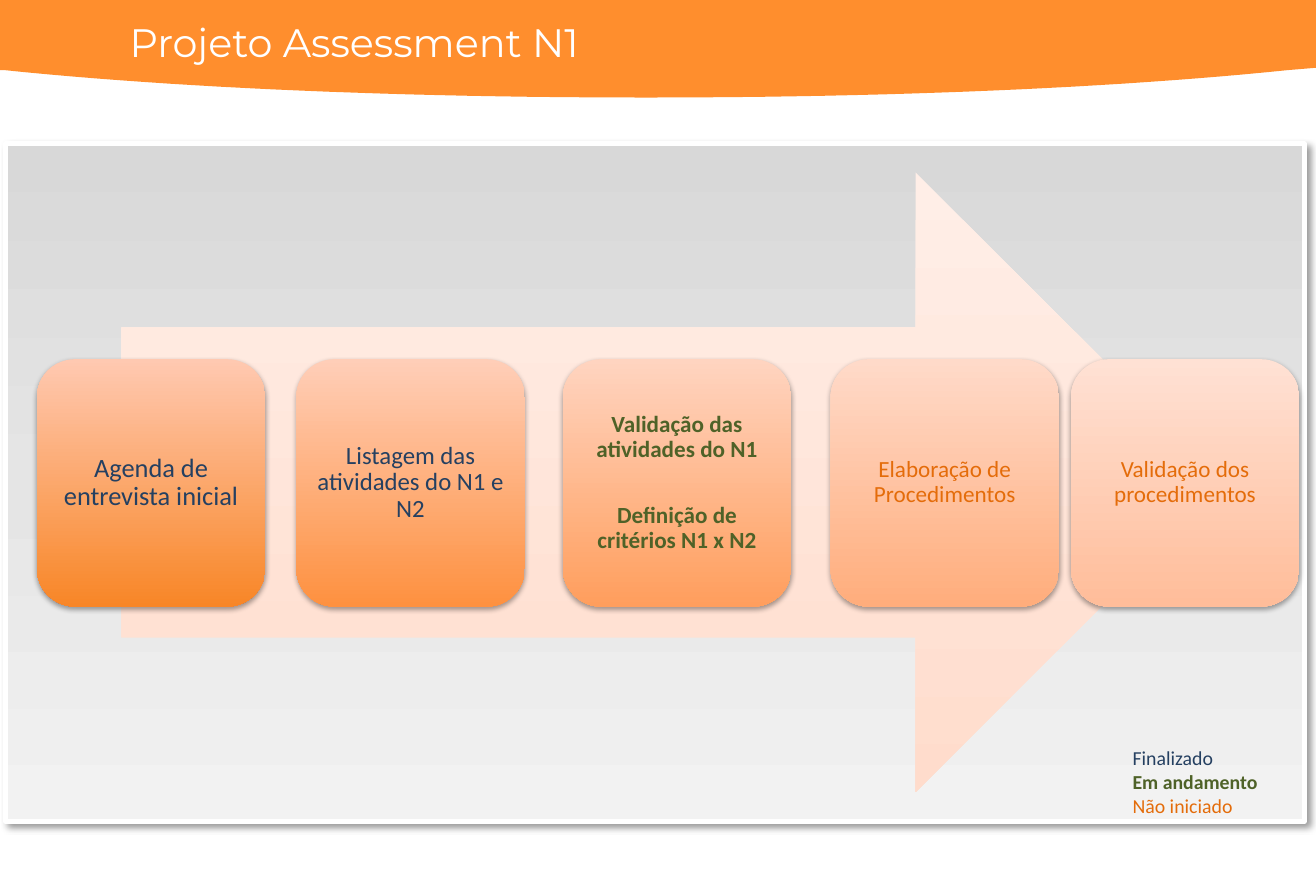
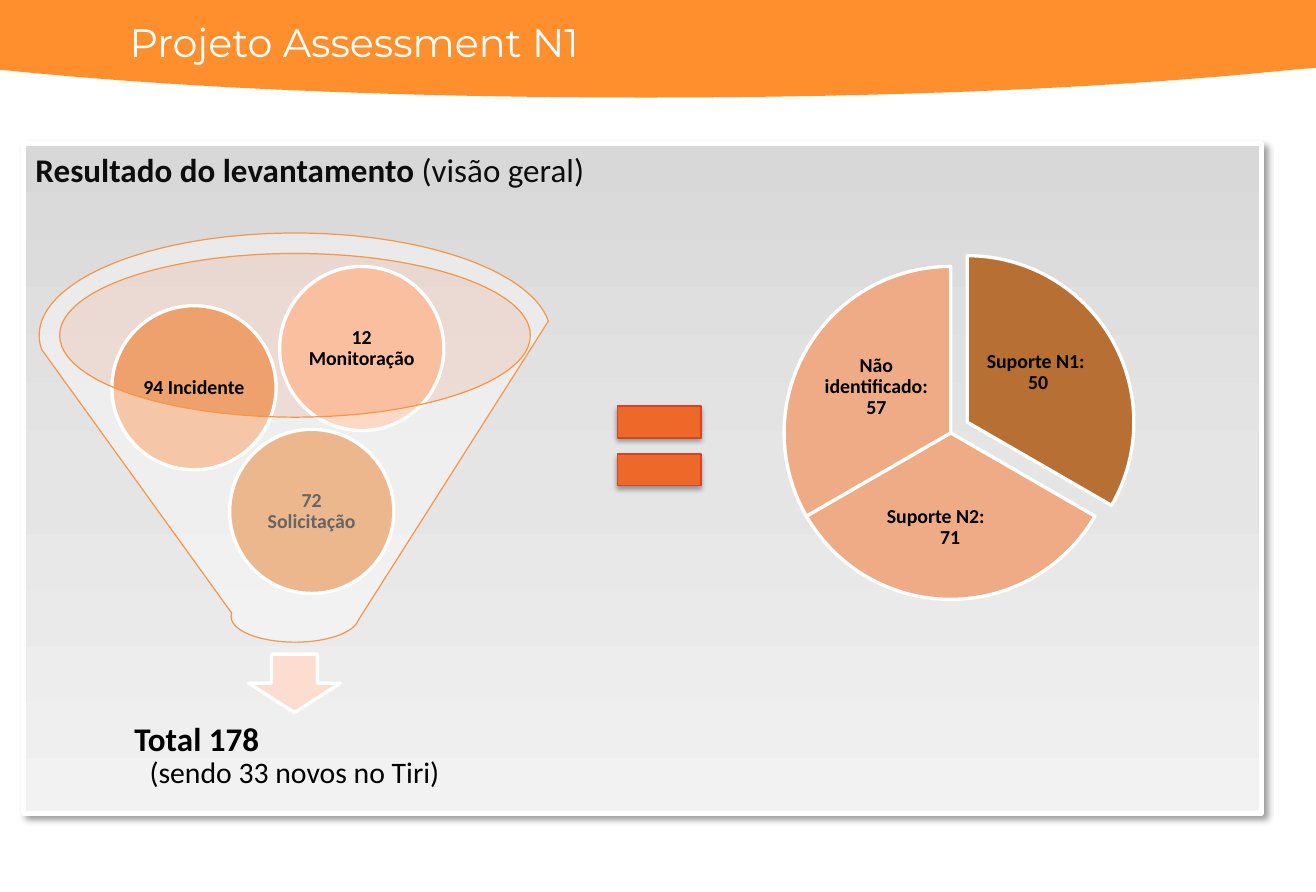
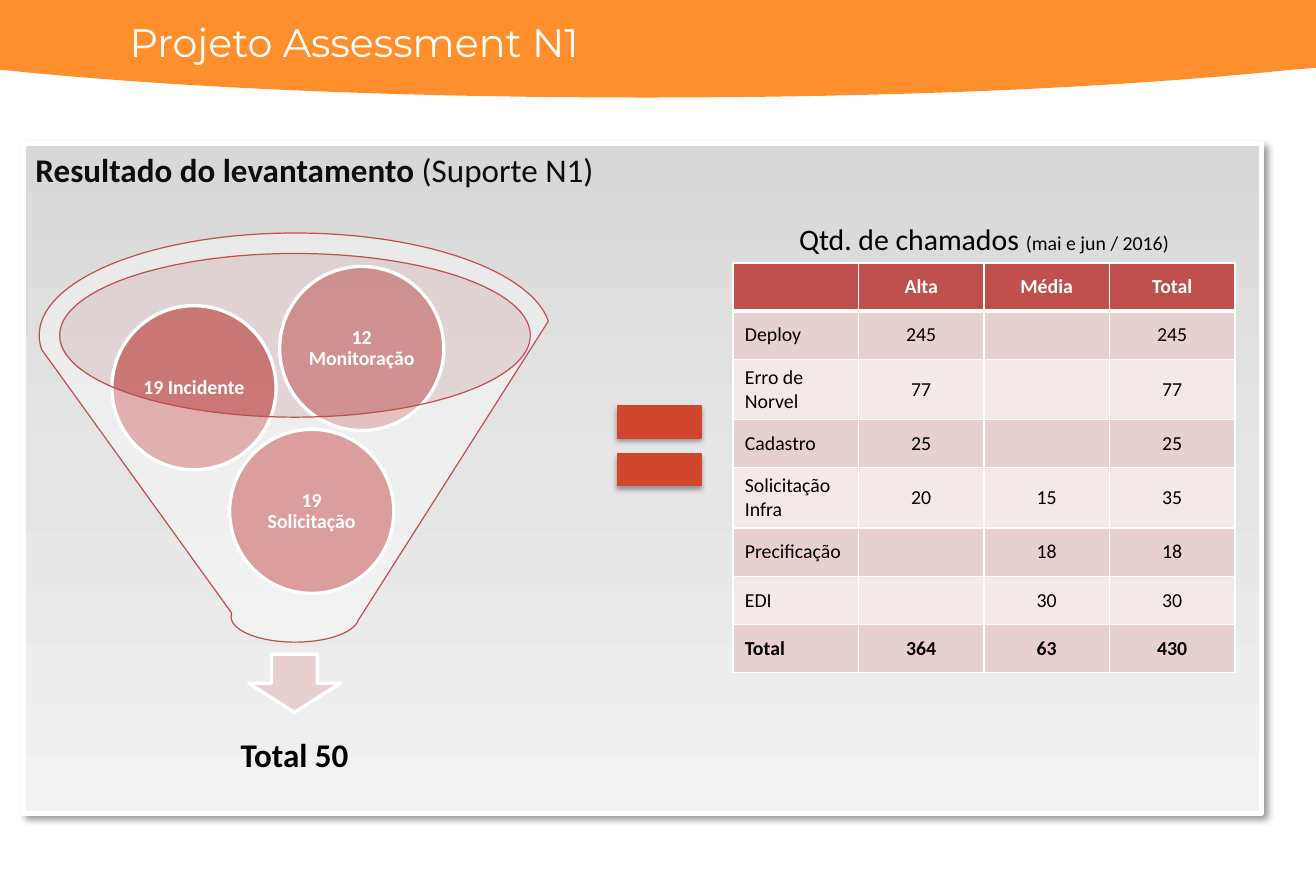
from dataclasses import dataclass

from lxml import etree
from pptx import Presentation
from pptx.dml.color import RGBColor
from pptx.enum.shapes import MSO_SHAPE as SHAPE
from pptx.enum.text import MSO_ANCHOR as ANCHOR, MSO_AUTO_SIZE as AUTOSIZE, PP_ALIGN as ALIGN
from pptx.oxml.ns import qn
from pptx.util import Inches, Pt


@dataclass(frozen=True)
class Theme:
    body_font: str = "Calibri"
    title_font: str = "Montserrat"
    band: str = "FF8E2D"
    white: str = "FFFFFF"
    black: str = "000000"
    heading: str = "0D0D0D"
    panel: tuple = ("D8D8D8", "E5E5E5", "F2F2F2")
    arrow: tuple = ("FFEEE7", "FFDCCC")
    done: str = "254061"
    ongoing: str = "4F6228"
    pending: str = "E46C0A"
    orange: str = "F79646"
    equal_orange: str = "EE6829"
    equal_red: str = "D0462D"
    red: str = "C0504D"
    row_dark: str = "E8D0D0"
    row_light: str = "F4E9E9"
    slice_main: str = "B76F34"
    slice_other: str = "EFAB85"
    title_size: int = 24
    heading_size: int = 20
    caption_size: int = 18
    small_size: int = 12


T = Theme()
PANEL_SHADOW = (40, 4, 3, 45)
SOFT_SHADOW = (35, 3.1, 1.8, 90)


def rgb(color):
    return RGBColor.from_string(color)


def add_child(parent, tag, **attrs):
    child = etree.SubElement(parent, qn(tag))
    for name, value in attrs.items():
        child.set(name, str(value))
    return child


def set_gradient(shape, colors):
    """Fill with evenly spaced colours; the first is at the top."""
    shape.fill.gradient()
    shape.fill.gradient_angle = 270
    stops = shape._element.spPr.find(qn("a:gradFill")).find(qn("a:gsLst"))
    for stop in list(stops):
        stops.remove(stop)
    for i, color in enumerate(colors):
        stop = add_child(stops, "a:gs", pos=100000 * i // (len(colors) - 1))
        add_child(stop, "a:srgbClr", val=color)


def set_fill(shape, color, opacity=100):
    """Fill with one colour, or with a gradient when given a tuple."""
    if isinstance(color, tuple):
        set_gradient(shape, color)
        return
    shape.fill.solid()
    shape.fill.fore_color.rgb = rgb(color)
    if opacity < 100:
        clr = shape._element.spPr.find(qn("a:solidFill")).find(qn("a:srgbClr"))
        add_child(clr, "a:alpha", val=opacity * 1000)


def set_shadow(shape, opacity, blur, distance, angle):
    effects = shape._element.spPr.find(qn("a:effectLst"))
    shadow = add_child(effects, "a:outerShdw", blurRad=Pt(blur), dist=Pt(distance),
                       dir=angle * 60000, algn="ctr", rotWithShape=0)
    clr = add_child(shadow, "a:srgbClr", val=T.black)
    add_child(clr, "a:alpha", val=opacity * 1000)


def add_shape(s, kind, box, fill, opacity=100, line=None, width=2, shadow=None):
    sp = s.shapes.add_shape(kind, *map(Inches, box))
    sp.shadow.inherit = False
    set_fill(sp, fill, opacity)
    if line:
        sp.line.color.rgb = rgb(line)
        sp.line.width = Pt(width)
    else:
        sp.line.fill.background()
    if shadow:
        set_shadow(sp, *shadow)
    return sp


def set_frame(tf, insets=(0.1, 0.05), anchor=ANCHOR.TOP):
    tf.word_wrap = True
    tf.auto_size = AUTOSIZE.NONE
    tf.vertical_anchor = anchor
    tf.margin_left = tf.margin_right = Inches(insets[0])
    tf.margin_top = tf.margin_bottom = Inches(insets[1])


def add_run(p, text, size, color, bold=False, font=T.body_font):
    r = p.add_run()
    r.text = text
    r.font.name = font
    r.font.size = Pt(size)
    r.font.bold = bold
    r.font.color.rgb = rgb(color)


def add_par(tf, first, align=ALIGN.LEFT, spacing=1.0, before=0, left=0, right=0):
    p = tf.paragraphs[0] if first else tf.add_paragraph()
    p.alignment = align
    p.line_spacing = spacing
    if before:
        p.space_before = Pt(before)
    for name, value in (("marL", left), ("marR", right)):
        p._p.get_or_add_pPr().set(name, str(Inches(value)))
    return p


def add_text_box(s, box, insets=(0.1, 0.05), anchor=ANCHOR.TOP):
    tf = s.shapes.add_textbox(*map(Inches, box)).text_frame
    set_frame(tf, insets, anchor)
    return tf


def write_label(tf, lines, size, color, bold=False, gap=0):
    """Centred, tightly set lines, each a paragraph."""
    for i, line in enumerate(lines):
        p = add_par(tf, i == 0, ALIGN.CENTER, 0.9, before=gap if i else 0)
        add_run(p, line, size, color, bold)


def bezier(p0, p1, p2, p3, steps=24):
    for i in range(1, steps + 1):
        t = i / steps
        u = 1 - t
        yield tuple(u**3 * a + 3 * u * u * t * b + 3 * u * t * t * c + t**3 * d
                    for a, b, c, d in zip(p0, p1, p2, p3))


def add_band_to_layout(s):
    """Draw the curved top band and move it to the layout that all slides use."""
    right, low, left = (10.82, 0.59), (5.43, 0.82), (0.04, 0.59)
    outline = [(11.06, 0), (11.06, 0.57), right,
               *bezier(right, (9.36, 0.74), (7.48, 0.82), low),
               *bezier(low, (3.38, 0.82), (1.5, 0.74), left), (0, 0.59)]
    builder = s.shapes.build_freeform(0, 0)
    builder.add_line_segments([(Inches(x), Inches(y)) for x, y in outline])
    band = builder.convert_to_shape()
    band.shadow.inherit = False
    set_fill(band, T.band)
    band.line.fill.background()
    s.slide_layout.shapes._spTree.insert(2, band._element)


def set_title(s, text):
    title = s.shapes.title
    title.left, title.top, title.width, title.height = map(Inches, (0.99, 0.1, 5.97, 0.5))
    set_frame(title.text_frame)
    p = add_par(title.text_frame, True)
    add_run(p, text, T.title_size, T.white, font=T.title_font)


def add_panel(s, box=(0.2, 1.21, 10.4, 5.63), scope=None):
    sp = add_shape(s, SHAPE.RECTANGLE, box, T.panel, line=T.white, width=3,
                   shadow=PANEL_SHADOW)
    if scope:
        set_frame(sp.text_frame)
        p = add_par(sp.text_frame, True)
        add_run(p, "Resultado do levantamento ", T.heading_size, T.heading, True)
        add_run(p, scope, T.heading_size, T.heading)


def add_step(s, left, lines, size, color, gradient):
    sp = add_shape(s, SHAPE.ROUNDED_RECTANGLE, (left, 3.02, 1.92, 2.08), gradient,
                   shadow=SOFT_SHADOW)
    set_frame(sp.text_frame, (0.07, 0.07), ANCHOR.MIDDLE)
    write_label(sp.text_frame, lines, size, color, color == T.ongoing, gap=25)


def add_funnel(s, balls, rim, arrow, line, text_color):
    """Funnel with three balls, given as (label, colour, opacity) from the back."""
    add_shape(s, SHAPE.OVAL, (0.49, 2.13, 3.96, 1.38), rim, 40)
    add_shape(s, SHAPE.DOWN_ARROW, (2.09, 5.5, 0.77, 0.49), arrow, line=T.white)
    places = ((1.93, 3.61), (0.94, 2.57), (2.35, 2.24))
    for (left, top), (label, color, opacity) in zip(places, balls):
        sp = add_shape(s, SHAPE.OVAL, (left, top, 1.38, 1.38), color, opacity, T.white)
        set_frame(sp.text_frame, (0.02, 0.02), ANCHOR.MIDDLE)
        write_label(sp.text_frame, [label], T.small_size, text_color, True)
    add_shape(s, SHAPE.FUNNEL, (0.33, 1.96, 4.3, 3.44), T.white, 40, line, 0.75)


def add_total(s, text, note=None):
    tf = add_text_box(s, (0.63, 5.9, 3.69, 0.92), (0.16, 0.16), ANCHOR.MIDDLE)
    if note:
        p = add_par(tf, True, spacing=0.9, left=0.34)
    else:
        p = add_par(tf, True, ALIGN.CENTER, 0.9)
    add_run(p, text, T.heading_size, T.black, True)
    if note:
        p = add_par(tf, False, ALIGN.CENTER, 0.9)
        add_run(p, note, T.caption_size, T.black)


def add_equal_sign(s, color):
    add_shape(s, SHAPE.MATH_EQUAL, (5.06, 3.18, 0.96, 1.14), color,
              line=T.equal_red, width=0.75, shadow=SOFT_SHADOW)


def add_slice(s, corner, angles, color, label_box, lines, shift=0):
    """Pie slice between two angles in degrees; shift moves its first line left."""
    sp = add_shape(s, SHAPE.PIE, (*corner, 2.8, 2.8), color, line=T.white)
    for i, angle in enumerate(angles):
        sp.adjustments[i] = angle * 0.6
    tf = add_text_box(s, label_box, (0.02, 0.02), ANCHOR.MIDDLE)
    for i, line in enumerate(lines):
        p = add_par(tf, i == 0, ALIGN.CENTER, 0.9, right=0 if i else 2 * shift)
        add_run(p, line, T.small_size, T.black, True)


def set_cell_borders(cell, top, bottom):
    tc_pr = cell._tc.get_or_add_tcPr()
    for tag, width in (("a:lnL", 1), ("a:lnR", 1), ("a:lnT", top), ("a:lnB", bottom)):
        fill = add_child(add_child(tc_pr, tag, w=Pt(width)), "a:solidFill")
        add_child(fill, "a:srgbClr", val=T.white)


def add_ticket_table(s, rows, box):
    shape = s.shapes.add_table(len(rows), len(rows[0]), *map(Inches, box))
    table = shape.table
    table.first_row = table.horz_banding = False
    last = len(rows) - 1
    for i, row in enumerate(rows):
        for j, text in enumerate(row):
            cell = table.cell(i, j)
            set_cell_borders(cell, 3 if i == 1 else 1, 3 if i == 0 else 1)
            cell.fill.solid()
            color = T.red if i == 0 else (T.row_light, T.row_dark)[i % 2]
            cell.fill.fore_color.rgb = rgb(color)
            cell.vertical_anchor = ANCHOR.MIDDLE
            if text:
                p = add_par(cell.text_frame, True, ALIGN.CENTER if j else ALIGN.LEFT)
                add_run(p, text, T.small_size, T.black if i else T.white, i in (0, last))


def build_process(s):
    add_panel(s, (0.05, 1.21, 10.91, 5.7))
    add_shape(s, SHAPE.RIGHT_ARROW, (1.02, 1.45, 9.28, 5.21), T.arrow)
    steps = (
        (0.31, ["Agenda de entrevista inicial"], 16, T.done, ("FFC9B1", "F88627")),
        (2.49, ["Listagem das atividades do N1 e N2"], 15, T.done, ("FFCEB8", "FE9140")),
        (4.73, ["Validação das atividades do N1", "Definição de critérios N1 x N2"],
         14, T.ongoing, ("FFD4C0", "FF9E5D")),
        (6.98, ["Elaboração de Procedimentos"], 14, T.pending, ("FFDAC9", "FFAD7C")),
        (9, ["Validação dos procedimentos"], 14, T.pending, ("FFE1D4", "FFBD9A")),
    )
    for step in steps:
        add_step(s, *step)
    legend = (("Finalizado", T.done), ("Em andamento", T.ongoing), ("Não iniciado", T.pending))
    tf = add_text_box(s, (9.42, 6.22, 1.56, 0.71))
    for i, (text, color) in enumerate(legend):
        add_run(add_par(tf, i == 0), text, T.small_size, color, color == T.ongoing)


def build_overview(s):
    add_panel(s, scope="(visão geral)")
    balls = (("72 Solicitação", "E08840", 100), ("94 Incidente", "EFA16D", 100),
             ("12 Monitoração", "FABF9F", 100))
    add_funnel(s, balls, "FBD3C1", "FCDDCF", T.orange, T.black)
    add_total(s, "Total 178", "(sendo 33 novos no Tiri)")
    add_slice(s, (6.73, 2.15), (270, 30), T.slice_main, (8.25, 2.67, 0.95, 0.93),
              ["Suporte N1:", "50"], shift=0.02)
    add_slice(s, (6.59, 2.24), (30, 150), T.slice_other, (7.35, 4, 1.27, 0.87),
              ["Suporte N2:", "71"], shift=0.12)
    add_slice(s, (6.59, 2.24), (150, 270), T.slice_other, (6.89, 2.79, 0.95, 0.93),
              ["Não identificado:", "57"])
    add_equal_sign(s, T.equal_orange)


def build_support(s):
    add_panel(s, scope="(Suporte N1)")
    balls = (("19 Solicitação", T.red, 90), ("19 Incidente", T.red, 70),
             ("12 Monitoração", T.red, 50))
    add_funnel(s, balls, "E2C2C2", T.row_dark, T.red, T.white)
    add_total(s, "Total 50")
    add_equal_sign(s, T.equal_red)
    rows = (
        ("", "Alta", "Média", "Total"),
        ("Deploy", "245", "", "245"),
        ("Erro de Norvel", "77", "", "77"),
        ("Cadastro", "25", "", "25"),
        ("Solicitação Infra", "20", "15", "35"),
        ("Precificação", "", "18", "18"),
        ("EDI", "", "30", "30"),
        ("Total", "364", "63", "430"),
    )
    add_ticket_table(s, rows, (6.16, 2.21, 4.22, 3.24))
    p = add_par(add_text_box(s, (6.16, 1.81, 4.22, 0.4)), True, ALIGN.CENTER)
    add_run(p, "Qtd. de chamados ", T.caption_size, T.black)
    add_run(p, "(mai e jun / 2016)", T.small_size, T.black)


def main():
    prs = Presentation()
    prs.slide_width, prs.slide_height = Inches(11.06), Inches(7.5)
    title_only = prs.slide_layouts[5]
    for i, build in enumerate((build_process, build_overview, build_support)):
        s = prs.slides.add_slide(title_only)
        if i == 0:
            add_band_to_layout(s)
        set_title(s, "Projeto Assessment N1")
        build(s)
    prs.save("out.pptx")


if __name__ == "__main__":
    main()
